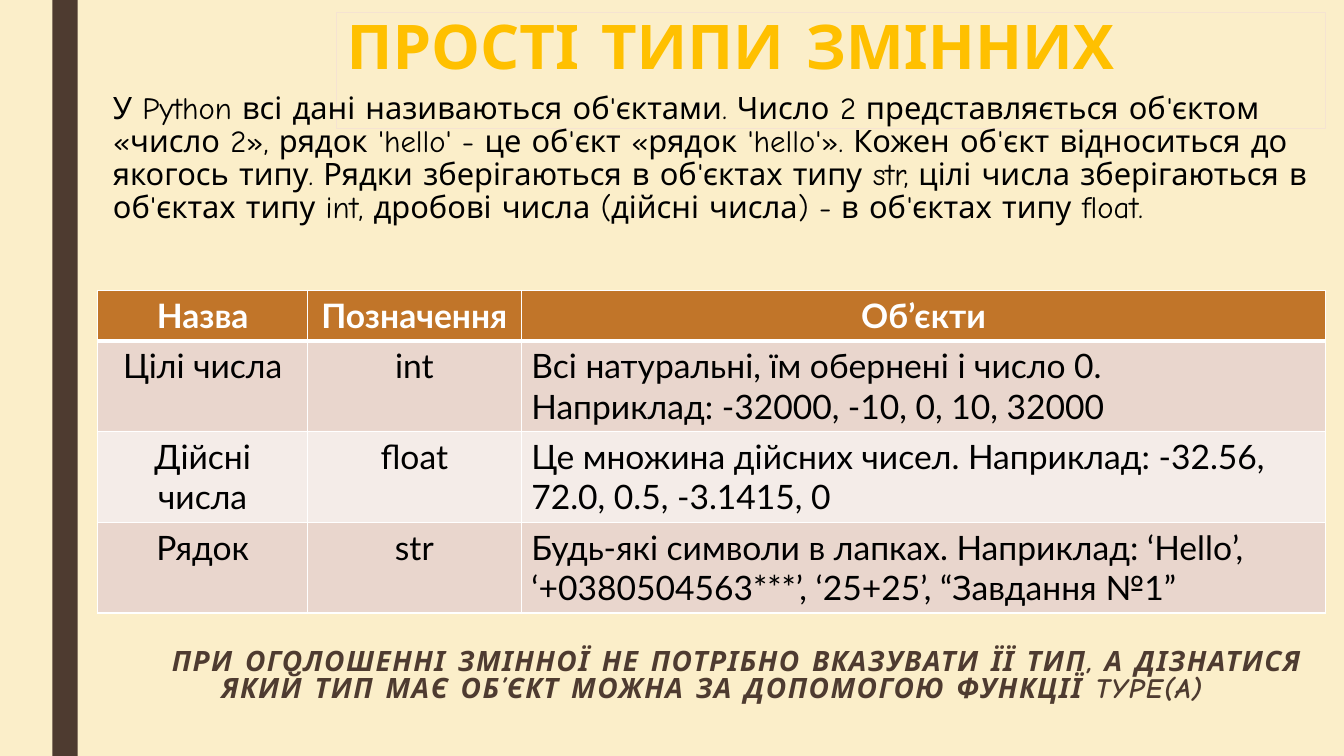
from typing import NamedTuple

from lxml.etree import SubElement
from pptx import Presentation
from pptx.dml.color import RGBColor as RGB
from pptx.enum.shapes import MSO_SHAPE as Shape
from pptx.enum.text import MSO_ANCHOR as Anchor, PP_ALIGN as Align
from pptx.oxml.ns import qn
from pptx.util import Pt

PX = 9144  # EMU in one px, 100 px to the inch

CREAM = RGB(0xFB, 0xEE, 0xC9)
BROWN = RGB(0x4E, 0x3B, 0x30)
SAND = RGB(0xF5, 0xE3, 0xD1)
GOLD = RGB(0xFF, 0xC0, 0x00)
RUST = RGB(0xC1, 0x75, 0x29)
ROSE = RGB(0xE9, 0xD6, 0xCD)
PALE = RGB(0xF4, 0xEC, 0xE8)
WHITE = RGB(0xFF, 0xFF, 0xFF)
BLACK = RGB(0x00, 0x00, 0x00)

COMIC, LATO = "Comic Neue", "Lato"


class Box(NamedTuple):
    left: int
    top: int
    width: int
    height: int

    def emu(self) -> list[int]:
        return [side * PX for side in self]


class Row(NamedTuple):
    name: str
    sign: str
    note: str
    fill: RGB
    height: int = 90


TITLE = "ПРОСТІ ТИПИ ЗМІННИХ"
INTRO = (
    "У Python всі дані називаються об'єктами. Число 2 представляється об'єктом "
    "«число 2», рядок 'hello' - це об'єкт «рядок 'hello'». Кожен об'єкт відноситься "
    "до якогось типу. Рядки зберігаються в об'єктах типу str, цілі числа зберігаються "
    "в об'єктах типу int, дробові числа (дійсні числа) - в об'єктах типу float."
)
HINT = (
    "ПРИ ОГОЛОШЕННІ ЗМІННОЇ НЕ ПОТРІБНО ВКАЗУВАТИ ЇЇ ТИП, А ДІЗНАТИСЯ "
    "ЯКИЙ ТИП МАЄ ОБ’ЄКТ МОЖНА ЗА ДОПОМОГОЮ ФУНКЦІЇ TYPE(A)"
)
COLS = [208, 212, 798]
ROWS = [
    Row("Назва", "Позначення", "Об’єкти", RUST, 50),
    Row("Цілі числа", "int",
        "Всі натуральні, їм обернені і число 0.\n"
        "Наприклад: -32000, -10, 0, 10, 32000", ROSE),
    Row("Дійсні числа", "float",
        "Це множина дійсних чисел. Наприклад: -32.56, 72.0, 0.5, -3.1415, 0", PALE),
    Row("Рядок", "str",
        "Будь-які символи в лапках. Наприклад: ‘Hello’, ‘+0380504563***’, "
        "‘25+25’, “Завдання №1”", ROSE),
]


def write(frame, text: str, *, size: int, font: str, color: RGB, bold=False,
          slant=False, align=Align.LEFT, lead=1.0, margin=0, indent=0,
          track=0) -> None:
    """Fill a text frame, one paragraph for each line of text."""
    frame.word_wrap = True
    for i, line in enumerate(text.split("\n")):
        para = frame.add_paragraph() if i else frame.paragraphs[0]
        para.alignment, para.line_spacing = align, lead
        props = para._p.get_or_add_pPr()
        props.set("marL", str(margin * PX))
        props.set("indent", str(indent * PX))
        run = para.add_run()
        run.text = line
        face = run.font
        face.name, face.size, face.color.rgb = font, Pt(size), color
        face.bold, face.italic = bold, slant
        if track:
            run._r.get_or_add_rPr().set("spc", str(track * 100))


def edge(cell, sides: dict[str, int]) -> None:
    """Draw white cell borders; sides gives each width in points."""
    props = cell._tc.get_or_add_tcPr()
    for i, (side, width) in enumerate(sides.items()):
        line = SubElement(props, qn(f"a:ln{side}"), w=str(Pt(width)))
        fill = SubElement(line, qn("a:solidFill"))
        SubElement(fill, qn("a:srgbClr"), val=str(WHITE))
        props.insert(i, line)


def grid(slide, box: Box, rows: list[Row]) -> None:
    """Draw the table of types."""
    table = slide.shapes.add_table(len(rows), len(COLS), *box.emu()).table
    table.horz_banding = False
    for col, width in zip(table.columns, COLS):
        col.width = width * PX
    for r, row in enumerate(rows):
        table.rows[r].height = row.height * PX
        head = r == 0
        for c, text in enumerate((row.name, row.sign, row.note)):
            cell = table.cell(r, c)
            cell.fill.solid()
            cell.fill.fore_color.rgb = row.fill
            edge(cell, {"L": 1, "R": 1, "T": 3 if r == 1 else 1,
                        "B": 3 if head else 1})
            write(cell.text_frame, text, size=24, font=LATO,
                  color=WHITE if head else BLACK, bold=head,
                  align=Align.CENTER if head or c < 2 else Align.LEFT)


def main() -> None:
    deck = Presentation()
    deck.slide_width, deck.slide_height = 1333 * PX, 750 * PX
    slide = deck.slides.add_slide(deck.slide_layouts[6])
    shapes = slide.shapes
    back = slide.background.fill
    back.solid()
    back.fore_color.rgb = CREAM

    # Side stripe
    stripe = shapes.add_shape(Shape.RECTANGLE, *Box(52, 0, 25, 750).emu())
    stripe.shadow.inherit = False
    stripe.fill.solid()
    stripe.fill.fore_color.rgb = BROWN
    stripe.line.fill.background()

    # Title
    title = shapes.add_textbox(*Box(334, 12, 981, 116).emu())
    title.line.color.rgb = SAND
    title.line.width = Pt(0.75)
    write(title.text_frame, TITLE, size=44, font=COMIC, color=GOLD,
          bold=True, lead=0.89)

    # Closing hint
    hint = shapes.add_textbox(*Box(97, 627, 1218, 89).emu()).text_frame
    hint.vertical_anchor = Anchor.MIDDLE
    write(hint, HINT, size=20, font=COMIC, color=BROWN, bold=True, slant=True,
          align=Align.CENTER, lead=0.8, indent=50, track=1)

    # Table of types
    grid(slide, Box(97, 288, 1218, 320), ROWS)

    # Introduction
    intro = shapes.add_textbox(*Box(97, 87, 1218, 190).emu()).text_frame
    intro.margin_left = intro.margin_right = 5 * PX
    intro.margin_top = intro.margin_bottom = 5 * PX
    write(intro, INTRO, size=22, font=COMIC, color=BLACK, lead=0.9, margin=10)

    deck.save("out.pptx")


if __name__ == "__main__":
    main()
